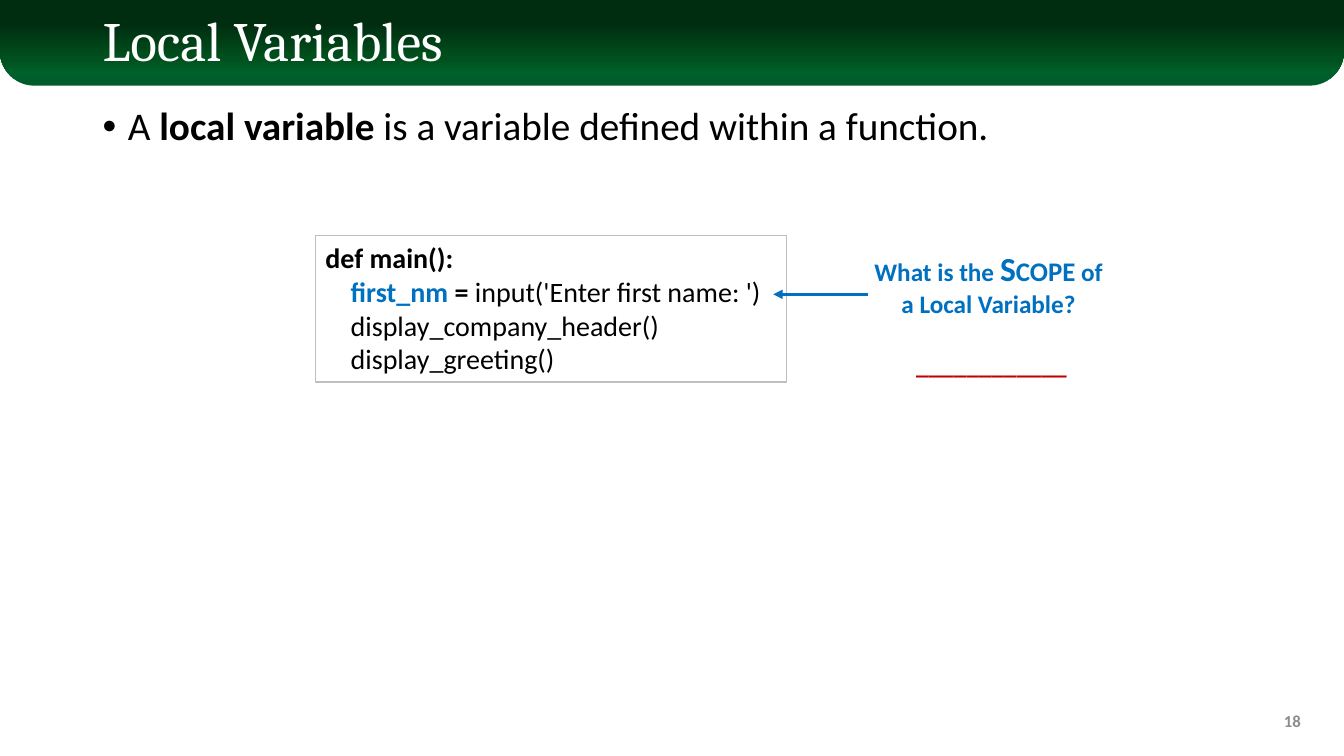
from copy import deepcopy

from lxml.etree import SubElement
from pptx import Presentation
from pptx.dml.color import RGBColor
from pptx.enum.shapes import MSO_CONNECTOR, MSO_SHAPE
from pptx.enum.text import MSO_ANCHOR, PP_ALIGN
from pptx.oxml.ns import qn
from pptx.util import Inches, Pt

BLUE, RED, BLACK, WHITE = "0070C0", "C00000", "000000", "FFFFFF"


def color(code):
    """Turn a hex string into a colour."""
    return RGBColor.from_string(code)


class Deck:
    """Hold the style and the current slide."""

    font = "Calibri"

    def __init__(self, width, height):
        """Start a deck with one blank slide."""
        self.file = Presentation()
        self.file.slide_width = Inches(width)
        self.file.slide_height = Inches(height)
        self.slide = self.file.slides.add_slide(self.file.slide_layouts[6])

    def band(self, box, stops):
        """Draw the title band with a gradient and round lower corners."""
        band = self.slide.shapes.add_shape(
            MSO_SHAPE.ROUND_2_SAME_RECTANGLE, *map(Inches, box))
        band.shadow.inherit = False
        band.adjustments[0], band.adjustments[1] = 0.4, 0
        band.line.fill.background()
        band.fill.gradient()
        band.fill.gradient_angle = 270
        items = band._element.spPr.find(".//" + qn("a:gsLst"))
        for _ in stops[2:]:
            items.append(deepcopy(items[0]))
        for stop, (place, code) in zip(band.fill.gradient_stops, stops):
            stop.position = place
            stop.color.rgb = color(code)
        band._element.spPr.find(qn("a:xfrm")).set("flipV", "1")

    def text(self, box, lines, size, align=PP_ALIGN.LEFT,
             anchor=MSO_ANCHOR.TOP, font=None, space=1.0):
        """Add a text box; each line is a list of (text, style) runs."""
        shape = self.slide.shapes.add_textbox(*map(Inches, box))
        frame = shape.text_frame
        frame.word_wrap = True
        frame.vertical_anchor = anchor
        for n, line in enumerate(lines):
            para = frame.add_paragraph() if n else frame.paragraphs[0]
            para.alignment = align
            para.line_spacing = space
            for words, style in line:
                self.run(para, words, font or self.font, size, **style)
        return shape

    def run(self, para, words, font, size, bold=False, code=BLACK, caps=0):
        """Add one run; caps gives the size of small capitals."""
        run = para.add_run()
        run.text = words
        run.font.name = font
        run.font.size = Pt(caps or size)
        run.font.bold = bold
        run.font.color.rgb = color(code)
        if caps:
            run._r.get_or_add_rPr().set("cap", "small")

    def indent(self, para, left, first=0.0, bullet=None):
        """Indent a paragraph and give it a bullet if there is one."""
        props = para._p.get_or_add_pPr()
        props.set("marL", str(Inches(left)))
        props.set("indent", str(Inches(first)))
        if bullet:
            SubElement(props, qn("a:buFont")).set("typeface", "Arial")
            SubElement(props, qn("a:buChar")).set("char", bullet)

    def arrow(self, start, end, code, width):
        """Draw a straight arrow from start to end."""
        line = self.slide.shapes.add_connector(
            MSO_CONNECTOR.STRAIGHT, *map(Inches, start + end))
        line.line.color.rgb = color(code)
        line.line.width = Pt(width)
        SubElement(line.line._get_or_add_ln(),
                   qn("a:tailEnd")).set("type", "triangle")
        SubElement(line._element.spPr, qn("a:effectLst"))

    def save(self):
        """Write the file."""
        self.file.save("out.pptx")


deck = Deck(13.33, 7.5)
bold, blue = {"bold": True}, {"bold": True, "code": BLUE}

deck.band((0, 0, 13.33, 0.85), [
    (0, "005C2B"), (0.15, "00602B"), (0.32, "00501D"), (0.72, "002D10")])
deck.text((0.92, 0.13, 11.5, 0.61), [[("Local Variables", {"code": WHITE})]],
          39.6, anchor=MSO_ANCHOR.MIDDLE, font="Cambria", space=0.9)

body = deck.text((0.92, 1.01, 11.5, 5.67), [[
    ("A ", {}), ("local variable ", bold),
    ("is a variable defined within a function.", {})]], 28, space=0.9)
point = body.text_frame.paragraphs[0]
point.space_before = Pt(10)
deck.indent(point, 0.25, -0.25, "•")

code = deck.text((3.13, 2.34, 4.67, 1.45), [
    [("def main():", bold)],
    [("first_nm ", blue), ("= ", bold), ("input('Enter first name: ')", {})],
    [("display_company_header()", {})],
    [("display_greeting()", {})]], 20)
code.line.color.rgb = color("BFBFBF")
code.line.width = Pt(0.75)
for para in code.text_frame.paragraphs[1:]:
    deck.indent(para, 0.25)

ask = deck.text((8.52, 2.41, 2.57, 1.41), [
    [("What is the ", blue), ("Scope", {**blue, "caps": 24}),
     (" of a Local Variable?", blue)],
    [(" ____________", {"bold": True, "code": RED})]], 18, PP_ALIGN.CENTER)
ask.text_frame.paragraphs[1].space_before = Pt(22)
deck.arrow((8.61, 2.92), (7.67, 2.92), BLUE, 2.25)

deck.text((10, 6.95, 3, 0.4), [[("18", {"bold": True, "code": "8C8C8C"})]],
          12, PP_ALIGN.RIGHT, MSO_ANCHOR.MIDDLE)
deck.save()
